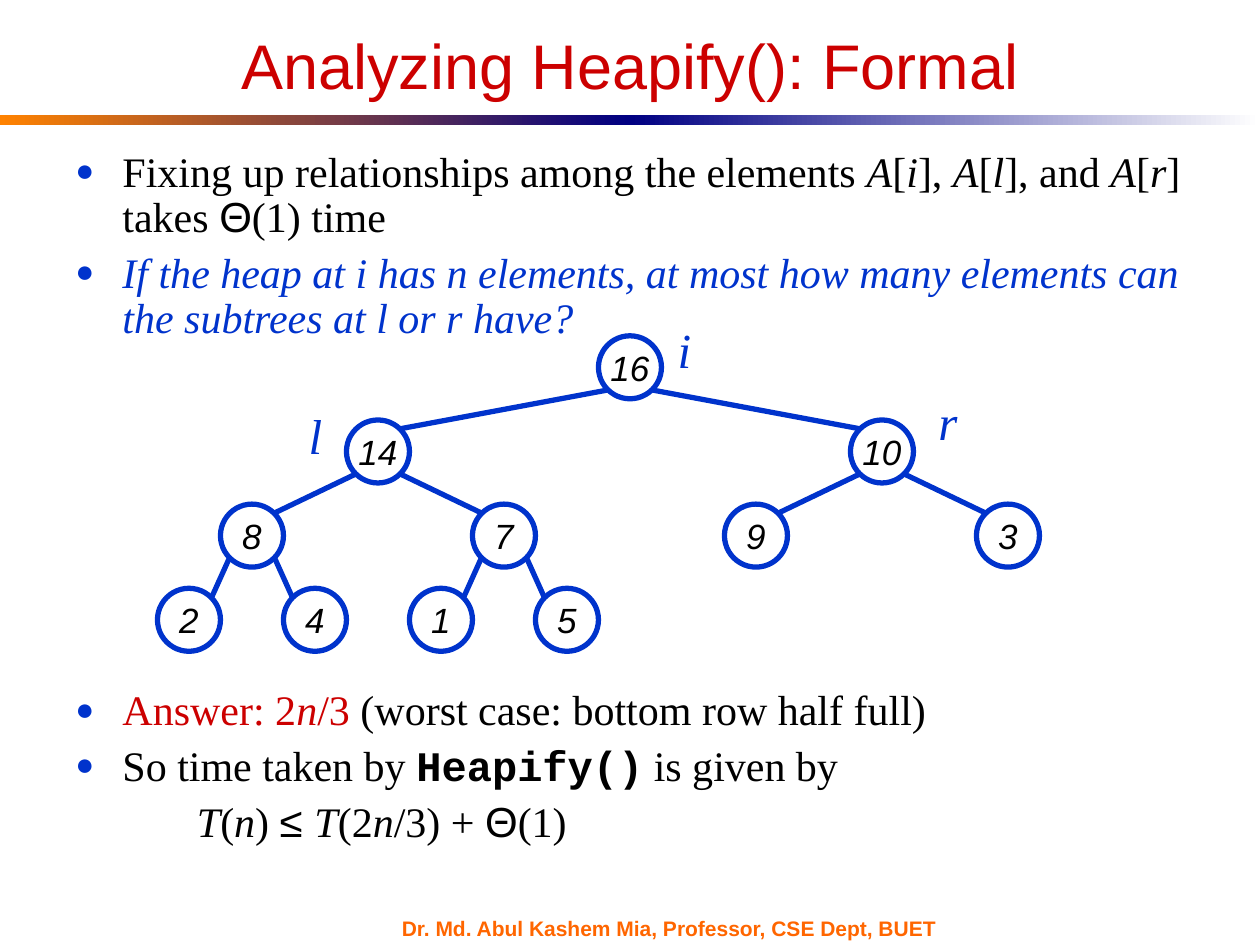
from lxml.etree import SubElement
from pptx import Presentation
from pptx.dml.color import RGBColor
from pptx.enum.shapes import MSO_CONNECTOR as Link, MSO_SHAPE as Kind
from pptx.enum.text import MSO_ANCHOR as Anchor, PP_ALIGN as Align
from pptx.oxml.ns import qn
from pptx.util import Cm, Pt

BLUE, RED, BLACK, WHITE = "0033CC", "CC0000", "000000", "FFFFFF"
NAVY, ORANGE, AMBER = "000082", "FF6600", "FF8200"
SANS, SERIF, MONO = "Arial", "Times New Roman", "Courier New"

PLAIN = dict(name=SERIF, size=Pt(24), color=BLACK, bold=False, italic=False)
SLANT = dict(italic=True)
GREEK = dict(name=SANS)
ASK = dict(color=BLUE, italic=True)
KEY = dict(color=RED)

FACTS = [
    [("Fixing up relationships among the elements ", {}),
     ("A", SLANT), ("[", {}), ("i", SLANT), ("], ", {}),
     ("A", SLANT), ("[", {}), ("l", SLANT), ("], and ", {}),
     ("A", SLANT), ("[", {}), ("r", SLANT), ("] takes ", {}),
     ("Θ", GREEK), ("(1) time", {})],
    [("If the heap at i has n elements, at most how many elements can "
      "the subtrees at l or r have?", ASK)],
    [("Answer: 2", KEY), ("n", KEY | SLANT), ("/3", KEY),
     (" (worst case: bottom row half full)", {})],
    [("So time taken by ", {}), ("Heapify()", dict(name=MONO, bold=True)),
     (" is given by", {})],
    [("T", SLANT), ("(", {}), ("n", SLANT), (") ", {}), ("≤ ", GREEK),
     ("T", SLANT), ("(2", {}), ("n", SLANT), ("/3) + ", {}),
     ("Θ", GREEK), ("(1)", {})],
]
ANSWER, RESULT = 2, 4  # the tree stands above one, the other has no bullet

HEAP = [16, 14, 10, 8, 7, 9, 3, 2, 4, 1, 5]
MARKS = {0: ("i", 1.1, -0.37), 1: ("l", -1.26, -0.32), 2: ("r", 1.33, -0.6)}


def tint(hue):
    return RGBColor.from_string(hue)


def add_run(para, text, **look):
    run = para.add_run()
    run.text = text
    for key, value in (PLAIN | look).items():
        if key == "color":
            run.font.color.rgb = tint(value)
        else:
            setattr(run.font, key, value)


def add_box(slide, x, y, w, h):
    box = slide.shapes.add_textbox(Cm(x), Cm(y), Cm(w), Cm(h))
    box.text_frame.word_wrap = True
    return box.text_frame


def add_bullet(para):
    props = para._p.get_or_add_pPr()
    hue = SubElement(props, qn("a:buClr"))
    SubElement(hue, qn("a:srgbClr"), val=BLUE)
    SubElement(props, qn("a:buSzPct"), val="75000")
    SubElement(props, qn("a:buFont"), typeface=SERIF)
    SubElement(props, qn("a:buChar"), char="●")


def set_indent(para, left, first):
    props = para._p.get_or_add_pPr()
    props.set("marL", str(Cm(left)))
    props.set("indent", str(Cm(first)))


def add_title(slide, x, y, w, h):
    title = slide.shapes.title
    place = dict(left=x, top=y, width=w, height=h)
    for key, value in place.items():
        setattr(title, key, Cm(value))
    frame = title.text_frame
    frame.vertical_anchor = Anchor.MIDDLE
    para = frame.paragraphs[0]
    para.alignment = Align.CENTER
    add_run(para, "Analyzing Heapify(): Formal",
            name=SANS, size=Pt(36), color=RED)


def add_rule(slide, x, y, w, h):
    """Draw the band below the title, fading through navy."""
    half = w / 2
    for col, hues in enumerate([(AMBER, NAVY), (NAVY, WHITE)]):
        band = slide.shapes.add_shape(
            Kind.RECTANGLE, Cm(x + col * half), Cm(y), Cm(half), Cm(h))
        band.shadow.inherit = False
        band.line.fill.background()
        band.fill.gradient()
        band.fill.gradient_angle = 0
        for stop, hue in zip(band.fill.gradient_stops, hues):
            stop.color.rgb = tint(hue)


def add_facts(slide, x, y, w, h):
    frame = add_box(slide, x, y, w, h)
    for row, runs in enumerate(FACTS):
        para = frame.add_paragraph() if row else frame.paragraphs[0]
        para.line_spacing = 0.9
        para.space_before = Pt(198 if row == ANSWER else 6)
        if row == RESULT:
            set_indent(para, 2.45, 0)
        else:
            set_indent(para, 0.95, -0.95)
            add_bullet(para)
        for text, look in runs:
            add_run(para, text, **look)


def add_edge(slide, start, end, reach):
    """Join two node centres, from rim to rim on the diagonals."""
    side = reach if end[0] > start[0] else -reach
    line = slide.shapes.add_connector(
        Link.STRAIGHT, Cm(start[0] + side), Cm(start[1] + reach),
        Cm(end[0] - side), Cm(end[1] - reach))
    line.line.color.rgb = tint(BLUE)
    line.line.width = Pt(3)
    SubElement(line._element.spPr, qn("a:effectLst"))


def add_node(slide, spot, size, text):
    node = slide.shapes.add_shape(
        Kind.OVAL, Cm(spot[0] - size / 2), Cm(spot[1] - size / 2),
        Cm(size), Cm(size))
    node.shadow.inherit = False
    node.fill.solid()
    node.fill.fore_color.rgb = tint(WHITE)
    node.line.color.rgb = tint(BLUE)
    node.line.width = Pt(3)
    frame = node.text_frame
    frame.word_wrap = False
    frame.vertical_anchor = Anchor.MIDDLE
    para = frame.paragraphs[0]
    para.alignment = Align.CENTER
    add_run(para, text, name=SANS, size=Pt(20), italic=True)


def add_mark(slide, spot, text, dx, dy):
    w, h = 1.75, 1.45
    frame = add_box(slide, spot[0] + dx - w / 2, spot[1] + dy - h / 2, w, h)
    para = frame.paragraphs[0]
    para.alignment = Align.CENTER
    add_run(para, text, size=Pt(28), color=BLUE, italic=True)


def add_tree(slide, x, y, w, h):
    """Lay out the heap; each level halves the column width."""
    size = 1.27
    step = (h - size) / 3
    spots = []
    for index in range(len(HEAP)):
        level = (index + 1).bit_length() - 1
        col = index + 1 - 2 ** level
        spots.append((x + (col + 0.5) * w / 2 ** level,
                      y + size / 2 + level * step))
    for index in range(1, len(HEAP)):
        add_edge(slide, spots[(index - 1) // 2], spots[index], 0.46)
    for spot, value in zip(spots, HEAP):
        add_node(slide, spot, size, str(value))
    for index, mark in MARKS.items():
        add_mark(slide, spots[index], *mark)


def add_footer(slide, x, y, w, h):
    frame = add_box(slide, x, y, w, h)
    frame.vertical_anchor = Anchor.MIDDLE
    add_run(frame.paragraphs[0],
            "Dr. Md. Abul Kashem Mia, Professor, CSE Dept, BUET",
            name=SANS, size=Pt(12), color=ORANGE, bold=True)


def main():
    deck = Presentation()
    deck.slide_width, deck.slide_height = Cm(25.4), Cm(19.05)
    slide = deck.slides.add_slide(deck.slide_layouts[5])
    add_rule(slide, 0, 2.32, 25.4, 0.2)
    add_footer(slide, 7.85, 18.49, 11.86, 0.46)
    add_title(slide, 1.27, 0.64, 22.86, 1.3)
    add_facts(slide, 1.27, 2.92, 22.86, 14.8)
    add_tree(slide, 2.54, 6.77, 20.32, 6.36)
    deck.save("out.pptx")


if __name__ == "__main__":
    main()
